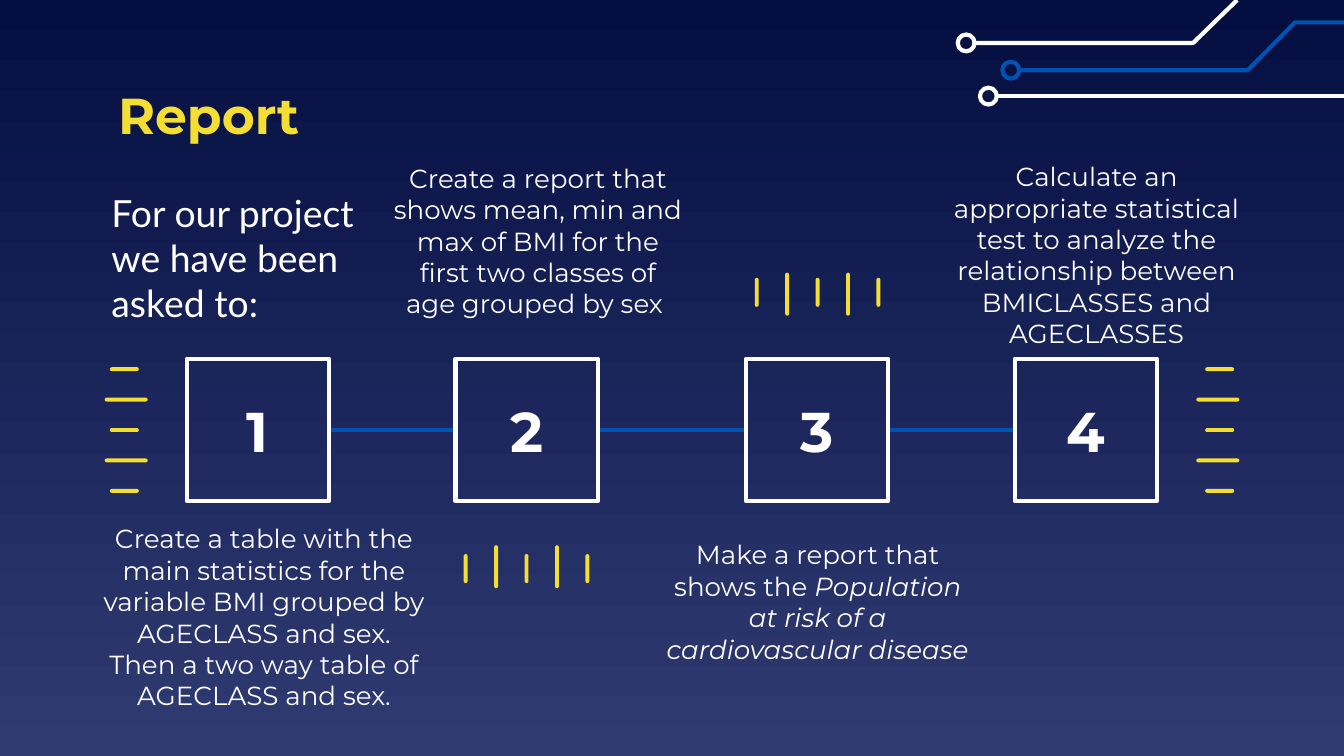
from lxml.etree import SubElement
from pptx import Presentation
from pptx.dml.color import RGBColor
from pptx.enum.shapes import MSO_CONNECTOR as Link, MSO_SHAPE as Kind
from pptx.enum.text import MSO_ANCHOR as Anchor, PP_ALIGN as Align
from pptx.oxml.ns import qn
from pptx.util import Pt

COLORS = {"top": "040E41", "bottom": "303B72", "white": "FFFFFF",
          "blue": "0152B1", "yellow": "F5DE34"}
STROKE = 2.25
STEP_SIZE = 76.3


def color(name):
    return RGBColor.from_string(COLORS[name])


def style_shape(shape, fill=None, line=None):
    shape.shadow.inherit = False
    if fill:
        shape.fill.solid()
        shape.fill.fore_color.rgb = color(fill)
    else:
        shape.fill.background()
    if line:
        shape.line.color.rgb = color(line)
        shape.line.width = Pt(STROKE)
    else:
        shape.line.fill.background()


def write(shape, spans, size, font="Montserrat", ink="white", bold=False,
          align=Align.CENTER, anchor=Anchor.MIDDLE, inset=7.2):
    """Fill a shape with one paragraph of (text, italic) spans."""
    frame = shape.text_frame
    frame.word_wrap = True
    frame.vertical_anchor = anchor
    frame.margin_left = frame.margin_right = Pt(7.2)
    frame.margin_top = frame.margin_bottom = Pt(inset)
    para = frame.paragraphs[0]
    para.alignment = align
    para.font.name, para.font.size, para.font.bold = font, Pt(size), bold
    para.font.color.rgb = color(ink)
    for text, italic in spans:
        for number, part in enumerate(text.split("\n")):
            if number:
                para.add_line_break()
            span = para.add_run()
            span.text = part
            if italic:
                span.font.italic = True


def add_text(page, box, spans, size, **options):
    write(page.shapes.add_textbox(*map(Pt, box)), spans, size, **options)


def add_circuit(page, ring_x, ring_y, bends, ink):
    """A ring with a trace running from its right side through the bends."""
    radius = 4.5
    start = (Pt(ring_x + radius), Pt(ring_y))
    builder = page.shapes.build_freeform(*start, scale=1.0)
    builder.add_line_segments([(Pt(x), Pt(y)) for x, y in bends], close=False)
    style_shape(builder.convert_to_shape(), line=ink)
    ring = page.shapes.add_shape(Kind.OVAL, Pt(ring_x - radius), Pt(ring_y - radius),
                                 Pt(2 * radius), Pt(2 * radius))
    style_shape(ring, line=ink)


def add_ticks(page, x, y, upright, shift):
    """Five alternating ticks from centre (x, y); long ones are moved by shift."""
    thick, gap = 2.1, 16.3
    for number in range(5):
        length, across = (23, shift) if number % 2 else (15.5, 0)
        if upright:
            width, height = thick, length
            middle_x, middle_y = x + number * gap, y + across
        else:
            width, height = length, thick
            middle_x, middle_y = x + across, y + number * gap
        tick = page.shapes.add_shape(
            Kind.ROUNDED_RECTANGLE, Pt(middle_x - width / 2),
            Pt(middle_y - height / 2), Pt(width), Pt(height))
        tick.adjustments[0] = 0.5
        style_shape(tick, fill="yellow")


def add_steps(page, top, lefts):
    """Numbered squares joined by lines."""
    middle = Pt(top + STEP_SIZE / 2)
    for left, following in zip(lefts, lefts[1:]):
        link = page.shapes.add_connector(Link.STRAIGHT, Pt(left + STEP_SIZE), middle,
                                         Pt(following), middle)
        link.line.color.rgb = color("blue")
        link.line.width = Pt(STROKE)
        SubElement(link._element.spPr, qn("a:effectLst"))
    for number, left in enumerate(lefts, 1):
        square = page.shapes.add_shape(Kind.RECTANGLE, Pt(left), Pt(top),
                                       Pt(STEP_SIZE), Pt(STEP_SIZE))
        style_shape(square, line="white")
        write(square, [(str(number), False)], 30, bold=True)


deck = Presentation()
deck.slide_width, deck.slide_height = Pt(720), Pt(405)
page = deck.slides.add_slide(deck.slide_layouts[6])

# Background
backdrop = page.background.fill
backdrop.gradient()
backdrop.gradient_angle = 270
for stop, name, position in zip(backdrop.gradient_stops, ("top", "bottom"), (0, 1)):
    stop.color.rgb = color(name)
    stop.position = position

# Circuit traces in the top corner
add_circuit(page, 517.6, 23, [(639.2, 23), (662.8, 0)], "white")
add_circuit(page, 541.5, 37.6, [(668.5, 37.6), (693.8, 12), (720, 12)], "blue")
add_circuit(page, 529.5, 51.5, [(720, 51.5)], "white")

# Heading and introduction
add_text(page, (56.2, 42.5, 277, 37.4), [("Report", False)], 27,
         ink="yellow", bold=True, align=Align.LEFT)
add_text(page, (52.6, 98.6, 160, 80), [("For our project we have been asked to:", False)],
         20, font="Lato", align=Align.LEFT, anchor=Anchor.TOP, inset=3.6)

# Steps
add_steps(page, 192.2, [100, 244, 399.6, 543.6])

# Tick marks
add_ticks(page, 66.6, 197.8, False, 1)
add_ticks(page, 653.4, 197.8, False, -1)
add_ticks(page, 249.5, 304.6, True, -1)
add_ticks(page, 405.4, 156.6, True, 1)

# Step descriptions
DESCRIPTIONS = [
    ((41.8, 283, 199.4, 95),
     [("Create a table with the main statistics for the variable BMI grouped by "
       "AGECLASS and sex.\nThen a two way table of AGECLASS and sex.", False)]),
    ((203, 80, 170.6, 98),
     [("Create a report that shows mean, min and max of BMI for the first two "
       "classes of age grouped by sex ", False)]),
    ((346.3, 286.6, 183.6, 71.3),
     [("Make a report that shows the ", False),
      ("Population at risk of a cardiovascular disease", True)]),
    ((501.8, 79.2, 171.4, 114.5),
     [("Calculate an appropriate statistical test to analyze the relationship "
       "between BMICLASSES and AGECLASSES", False)]),
]
for box, spans in DESCRIPTIONS:
    add_text(page, box, spans, 14)

deck.save("out.pptx")
